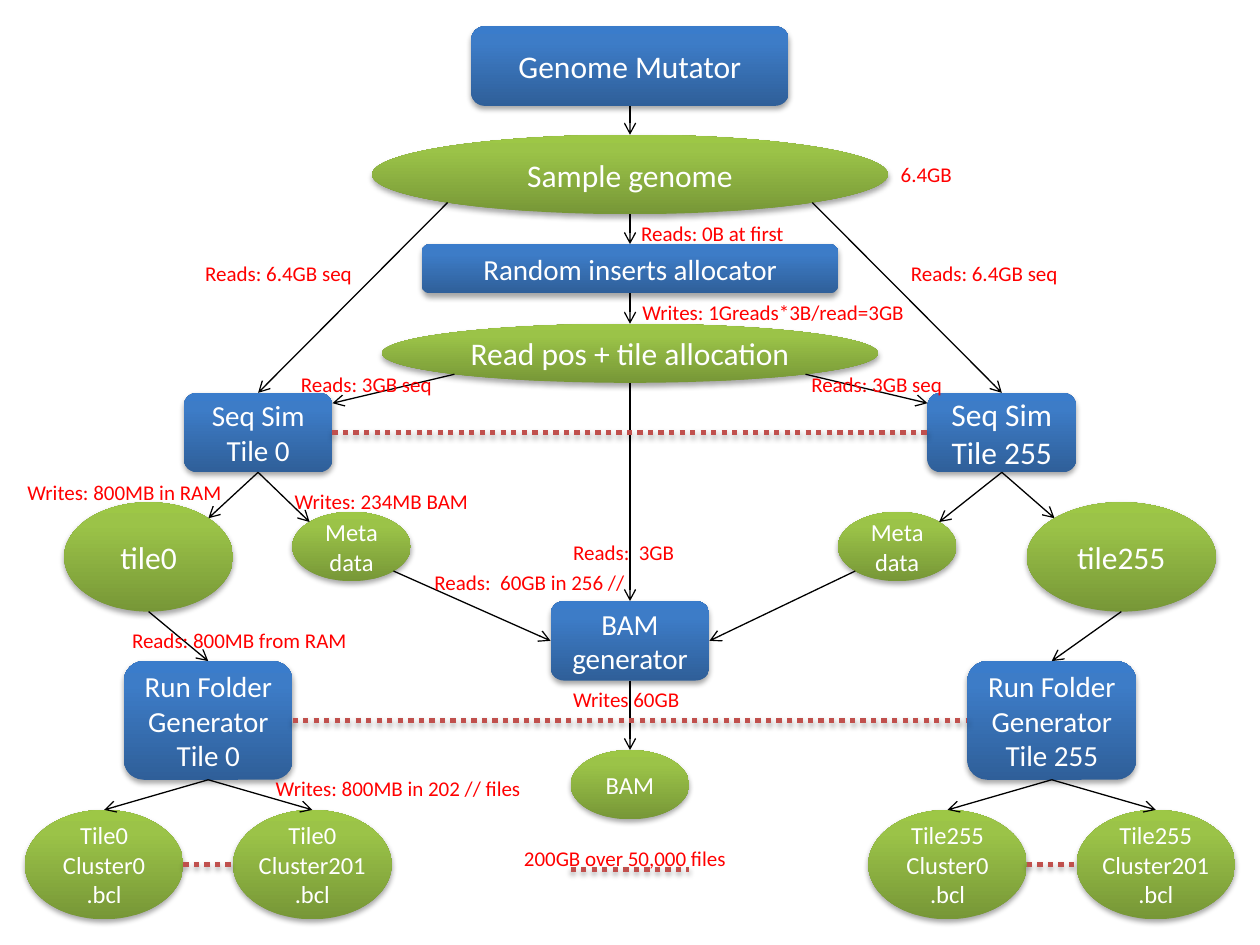
from copy import deepcopy
from math import sqrt

from pptx import Presentation
from pptx.dml.color import RGBColor
from pptx.enum.dml import MSO_LINE
from pptx.enum.shapes import MSO_CONNECTOR, MSO_SHAPE
from pptx.enum.text import MSO_ANCHOR, MSO_AUTO_SIZE, PP_ALIGN
from pptx.oxml import parse_xml
from pptx.oxml.ns import nsdecls, qn
from pptx.util import Pt

SIDES = {
    "top": (0, -1), "bottom": (0, 1), "left": (-1, 0), "right": (1, 0),
    "top left": (-1, -1), "top right": (1, -1),
    "bottom left": (-1, 1), "bottom right": (1, 1),
}


def color(value):
    return RGBColor.from_string(value)


def anchor(shape, side):
    horizontal, vertical = SIDES[side]
    reach = 1 / sqrt(2) if horizontal and vertical else 1
    x = shape.left + shape.width / 2 * (1 + horizontal * reach)
    y = shape.top + shape.height / 2 * (1 + vertical * reach)
    return x / Pt(1), y / Pt(1)


class Diagram:
    font = "Calibri"
    blue = ("2F5F99", "3D7CC7", "3A7CCB")
    green = ("779737", "9BC348", "9DC746")
    stops = (0, 0.8, 1)

    def __init__(self, slide):
        self.slide = slide

    def add_text(self, paragraph, text, size, value):
        run = paragraph.add_run()
        run.text = text
        run.font.name = self.font
        run.font.size = Pt(size)
        run.font.color.rgb = color(value)

    def shadow(self, effects):
        effects.append(parse_xml(
            f'<a:outerShdw {nsdecls("a")} blurRad="40000" dist="23000" dir="5400000" '
            'rotWithShape="0"><a:srgbClr val="000000"><a:alpha val="35000"/>'
            '</a:srgbClr></a:outerShdw>'))

    def node(self, kind, colors, box, lines, size, insets):
        shape = self.slide.shapes.add_shape(kind, *map(Pt, box))
        shape.fill.gradient()
        shape.fill.gradient_angle = 90
        properties = shape._element.spPr
        stop_list = properties.find(qn("a:gradFill")).find(qn("a:gsLst"))
        stop_list.append(deepcopy(stop_list[-1]))
        for stop, position, value in zip(shape.fill.gradient_stops, self.stops, colors):
            stop.position = position
            stop.color.rgb = color(value)
        shape.line.fill.background()
        shape.shadow.inherit = False
        self.shadow(properties.find(qn("a:effectLst")))
        frame = shape.text_frame
        frame.word_wrap = True
        frame.vertical_anchor = MSO_ANCHOR.MIDDLE
        frame.margin_left = frame.margin_right = Pt(insets[0])
        frame.margin_top = frame.margin_bottom = Pt(insets[1])
        for index, text in enumerate(lines):
            paragraph = frame.add_paragraph() if index else frame.paragraphs[0]
            paragraph.alignment = PP_ALIGN.CENTER
            self.add_text(paragraph, text, size, "FFFFFF")
        return shape

    def process(self, box, *lines, size=16.6):
        return self.node(MSO_SHAPE.ROUNDED_RECTANGLE, self.blue, box, lines, size, (3, 3))

    def data(self, box, *lines, size=18, inset=7.2):
        return self.node(MSO_SHAPE.OVAL, self.green, box, lines, size, (inset, 3.6))

    def connector(self, start, end, value, width):
        connector = self.slide.shapes.add_connector(
            MSO_CONNECTOR.STRAIGHT, *map(Pt, (*start, *end)))
        connector.line.color.rgb = color(value)
        connector.line.width = Pt(width)
        effects = parse_xml(f'<a:effectLst {nsdecls("a")}/>')
        connector._element.spPr.append(effects)
        return connector, effects

    def arrow(self, start, end):
        connector, _ = self.connector(start, end, "000000", 0.75)
        line = connector._element.spPr.find(qn("a:ln"))
        line.append(parse_xml(f'<a:tailEnd {nsdecls("a")} type="arrow"/>'))

    def dots(self, start, end):
        connector, effects = self.connector(start, end, "C0504D", 3)
        connector.line.dash_style = MSO_LINE.ROUND_DOT
        self.shadow(effects)

    def label(self, left, top, width, text):
        box = self.slide.shapes.add_textbox(Pt(left), Pt(top), Pt(width), Pt(21.6))
        frame = box.text_frame
        frame.word_wrap = False
        frame.auto_size = MSO_AUTO_SIZE.SHAPE_TO_FIT_TEXT
        self.add_text(frame.paragraphs[0], text, 12, "FF0000")


presentation = Presentation()
presentation.slide_width = Pt(720)
presentation.slide_height = Pt(540)
diagram = Diagram(presentation.slides.add_slide(presentation.slide_layouts[6]))

mutator = diagram.process((269.3, 15.1, 181.4, 45.4), "Genome Mutator", size=18)
genome = diagram.data((212.6, 77, 294.8, 45.4), "Sample genome")
allocator = diagram.process((241, 139.5, 238, 28.2), "Random inserts allocator")
allocation = diagram.data((218.2, 185, 283.6, 33.8), "Read pos + tile allocation")
generator = diagram.process((314.6, 343.5, 90.8, 45.4), "BAM generator")
bam = diagram.data((326.1, 428.6, 67.8, 39.6), "BAM", size=14)

for upper, lower in ((mutator, genome), (genome, allocator), (allocator, allocation),
                     (allocation, generator), (generator, bam)):
    diagram.arrow(anchor(upper, "bottom"), anchor(lower, "top"))

branches = (
    (0, "left", "right", 105, 16.6, 70.8, 36.7, 96.5, 167),
    (255, "right", "left", 530, 18, 552.8, 586.8, 108, 478.8),
)
simulators, folders = [], []
for number, outer, inner, sim_x, sim_size, run_x, tile_x, tile_width, meta_x in branches:
    simulator = diagram.process((sim_x, 224.5, 85, 45.4), "Seq Sim", f"Tile {number}",
                                size=sim_size)
    folder = diagram.process((run_x, 377.8, 96.4, 67.8), "Run Folder Generator",
                             f"Tile {number}")
    tile = diagram.data((tile_x, 287, tile_width, 62.5), f"tile{number}")
    meta = diagram.data((meta_x, 292.5, 67.8, 39.6), "Meta", "data", size=14)
    clusters = [
        diagram.data((run_x + offset, 462.8, 90.6, 62.5), f"Tile{number}",
                     f"Cluster{cluster}", ".bcl", size=14, inset=0)
        for cluster, offset in ((0, -56.6), (201, 62.4))
    ]
    simulators.append(simulator)
    folders.append(folder)

    diagram.arrow(anchor(genome, f"bottom {outer}"), anchor(simulator, "top"))
    diagram.arrow(anchor(allocation, f"bottom {outer}"),
                  (anchor(simulator, inner)[0], 230.4))
    diagram.arrow(anchor(simulator, "bottom"), anchor(tile, f"top {inner}"))
    diagram.arrow(anchor(simulator, "bottom"), anchor(meta, f"top {outer}"))
    diagram.arrow(anchor(meta, f"bottom {inner}"), anchor(generator, outer))
    diagram.arrow(anchor(tile, "bottom"), anchor(folder, "top"))
    for cluster in clusters:
        diagram.arrow(anchor(folder, "bottom"), anchor(cluster, "top"))
    diagram.dots(anchor(clusters[0], "right"), anchor(clusters[1], "left"))

for first, last in (simulators, folders):
    diagram.dots(anchor(first, "right"), anchor(last, "left"))
diagram.dots((326.1, 496.8), (393.9, 496.8))

for label in (
    (507.6, 88.6, 44, "6.4GB"),
    (110.2, 145.4, 102, "Reads: 6.4GB seq"),
    (513.4, 145.4, 99.4, "Reads: 6.4GB seq"),
    (359.3, 122.4, 97, "Reads: 0B at first"),
    (360, 167.8, 165.6, "Writes: 1Greads*3B/read=3GB"),
    (164.9, 208.8, 90, "Reads: 3GB seq"),
    (456.5, 208.8, 90, "Reads: 3GB seq"),
    (8.6, 270.7, 126.7, "Writes: 800MB in RAM"),
    (161.3, 275.8, 114.5, "Writes: 234MB BAM"),
    (320.4, 304.6, 73.4, "Reads:  3GB"),
    (241.2, 321.8, 127.4, "Reads:  60GB in 256 //"),
    (68.4, 355, 139, "Reads: 800MB from RAM"),
    (320.4, 388.8, 76.3, "Writes 60GB"),
    (150.5, 439.9, 156.2, "Writes: 800MB in 202 // files"),
    (292.3, 479.5, 131.8, "200GB over 50,000 files"),
):
    diagram.label(*label)

presentation.save("out.pptx")
